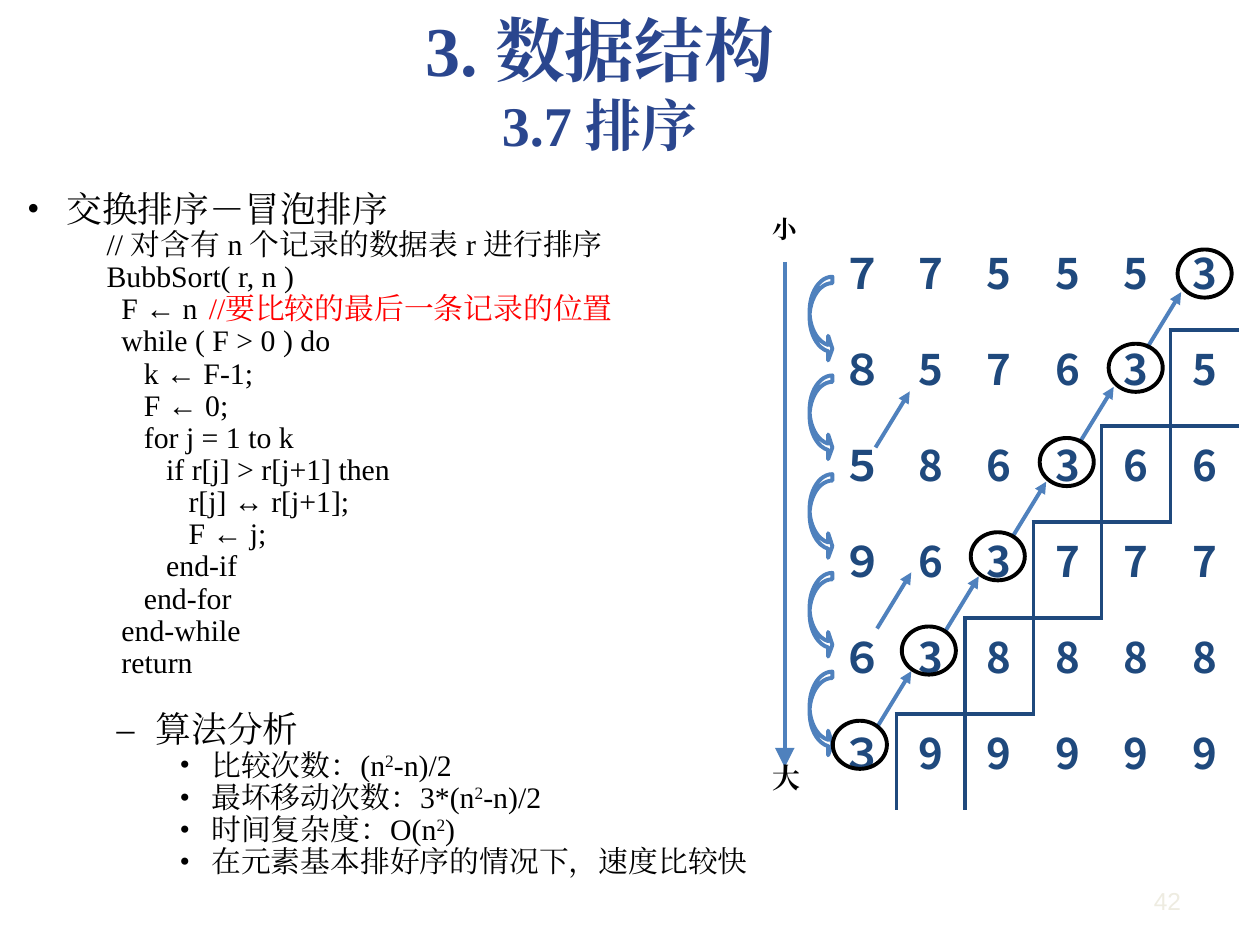
"""Build a bubble sort slide with pseudocode and a pass-by-pass table."""
from typing import NamedTuple

from lxml.etree import SubElement
from pptx import Presentation
from pptx.dml.color import RGBColor
from pptx.enum.shapes import MSO_CONNECTOR as Connector, MSO_SHAPE as Shape
from pptx.enum.text import MSO_ANCHOR as Anchor, PP_ALIGN as Align
from pptx.oxml.ns import qn
from pptx.util import Cm, Pt

NAVY = RGBColor(0x1F, 0x49, 0x7D)
TITLE_BLUE = RGBColor(0x2A, 0x46, 0x8E)
ARROW_BLUE = RGBColor(0x4F, 0x81, 0xBD)
BLACK = RGBColor(0, 0, 0)
RED = RGBColor(0xFF, 0, 0)
PALE = RGBColor(0xEE, 0xEC, 0xE1)
SERIF = "Times New Roman"
SANS = "Noto Sans CJK SC"
PLAIN_TABLE = "{2D5ABB26-0587-4C30-8999-92F81FD0307C}"
RULE = Pt(2.25)


class Level(NamedTuple):
    margin: float
    hanging: float
    size: float
    bullet: str = ""
    before: float = 0


class Label(NamedTuple):
    text: str
    left: float
    top: float
    width: float
    height: float
    size: float
    font: str = SERIF
    color: RGBColor = BLACK
    bold: bool = True


TOPIC = Level(0.79, 0.79, 20.4, "•")
CODE = Level(2.39, 0.79, 17)
ANALYSIS = Level(2.59, 0.79, 20.4, "–", 18.4)
FINDING = Level(3.71, 0.64, 17, "•")

PSEUDOCODE = """// 对含有 n 个记录的数据表 r 进行排序
BubbSort( r, n )
  F ← n\t|//要比较的最后一条记录的位置
  while ( F > 0 ) do
     k ← F-1;
     F ← 0;
     for j = 1 to k
        if r[j] > r[j+1] then
           r[j] ↔ r[j+1];
           F ← j;
        end-if
     end-for
  end-while
  return""".split("\n")
FINDINGS = ["比较次数：(n^2^-n)/2", "最坏移动次数：3*(n^2^-n)/2",
            "时间复杂度：O(n^2^)", "在元素基本排好序的情况下，速度比较快"]
PASSES = ["７75553", "８57635", "５86366", "９63777", "６38888", "３99999"]
LABELS = [Label("小", 15.32, 4.19, 1.02, 0.84, 14),
          Label("大", 15.32, 15.21, 1.07, 0.94, 16),
          Label("42", 22.9, 17.74, 1.27, 0.87, 14, "Arial", PALE, False)]


def style_run(run, size: float, color: RGBColor, font: str = SERIF, bold: bool = False) -> None:
    run.font.size, run.font.bold, run.font.name = Pt(size), bold, font
    run.font.color.rgb = color
    SubElement(run._r.get_or_add_rPr(), qn("a:ea")).set("typeface", font)


def add_outline_line(frame, text: str, level: Level) -> None:
    paragraph = frame.paragraphs[0] if level is TOPIC else frame.add_paragraph()
    paragraph.line_spacing = 0.9
    paragraph.space_before = Pt(level.before)
    properties = paragraph._p.get_or_add_pPr()
    properties.set("marL", str(Cm(level.margin)))
    properties.set("indent", str(-Cm(level.hanging)))
    if level.bullet:
        SubElement(properties, qn("a:buFont")).set("typeface", SERIF)
        SubElement(properties, qn("a:buChar")).set("char", level.bullet)
    else:
        SubElement(properties, qn("a:buNone"))
    separator = "^" if level is FINDING else "|"
    for position, part in enumerate(text.split(separator)):
        run = paragraph.add_run()
        run.text = part
        emphasised = position == 1
        style_run(run, level.size, RED if emphasised and level is CODE else BLACK)
        if emphasised and level is FINDING:
            run._r.get_or_add_rPr().set("baseline", "30000")


def add_label(slide, label: Label) -> None:
    box = slide.shapes.add_textbox(*map(Cm, label[1:5]))
    box.text_frame.word_wrap = False
    box.text_frame.text = label.text
    paragraph = box.text_frame.paragraphs[0]
    paragraph.alignment = Align.CENTER
    style_run(paragraph.runs[0], label.size, label.color, label.font, label.bold)


def add_arrow(slide, x: float, y: float, dx: float, dy: float, head: str = "med") -> None:
    arrow = slide.shapes.add_connector(Connector.STRAIGHT, Cm(x), Cm(y), Cm(x + dx), Cm(y + dy))
    arrow.line.color.rgb, arrow.line.width = ARROW_BLUE, RULE
    tail = SubElement(arrow.line._get_or_add_ln(), qn("a:tailEnd"))
    for key, value in (("type", "triangle"), ("w", head), ("len", head)):
        tail.set(key, value)
    SubElement(arrow._element.spPr, qn("a:effectLst"))


def add_outline_shape(slide, kind: Shape, x: float, y: float, width: float, height: float,
                      color: RGBColor):
    outline = slide.shapes.add_shape(kind, Cm(x), Cm(y), Cm(width), Cm(height))
    outline.shadow.inherit = False
    outline.fill.background()
    outline.line.color.rgb, outline.line.width = color, RULE
    return outline


def add_border(cell, side: str) -> None:
    border = SubElement(cell._tc.get_or_add_tcPr(), qn(f"a:{side}"), w=str(RULE))
    fill = SubElement(border, qn("a:solidFill"))
    SubElement(fill, qn("a:srgbClr")).set("val", str(NAVY))


def add_passes(slide) -> None:
    count = len(PASSES)
    table = slide.shapes.add_table(count, count, Cm(16.69), Cm(4.72), Cm(8.28), Cm(11.61)).table
    table.first_row = table.horz_banding = False
    table._tbl.tblPr.find(qn("a:tableStyleId")).text = PLAIN_TABLE
    for row, digits in enumerate(PASSES):
        for column, digit in enumerate(digits):
            cell = table.cell(row, column)
            cell.text = digit
            paragraph = cell.text_frame.paragraphs[0]
            paragraph.alignment = Align.CENTER
            style_run(paragraph.runs[0], 24, NAVY, SANS, True)
            if row + column == count:
                add_border(cell, "lnL")
                add_border(cell, "lnT")
            elif row + column == count - 1:
                if row:
                    add_border(cell, "lnR")
                if column:
                    add_border(cell, "lnB")
            cell.fill.background()


def main() -> None:
    deck = Presentation()
    deck.slide_width, deck.slide_height = Cm(25.4), Cm(19.05)
    slide = deck.slides.add_slide(deck.slide_layouts[5])

    title = slide.shapes.title
    title.left, title.top, title.width, title.height = Cm(1.3), Cm(0), Cm(21.59), Cm(3.33)
    title.text_frame.text = "3. 数据结构\v3.7 排序"
    title.text_frame.vertical_anchor = Anchor.MIDDLE
    heading = title.text_frame.paragraphs[0]
    heading.alignment = Align.CENTER
    for run, size in zip(heading.runs, (40, 32)):
        style_run(run, size, TITLE_BLUE, bold=True)

    outline = slide.shapes.add_textbox(Cm(0.3), Cm(3.73), Cm(15.57), Cm(15.52)).text_frame
    outline.word_wrap = True
    add_outline_line(outline, "交换排序－冒泡排序", TOPIC)
    for statement in PSEUDOCODE:
        add_outline_line(outline, statement, CODE)
    add_outline_line(outline, "算法分析", ANALYSIS)
    for finding in FINDINGS:
        add_outline_line(outline, finding, FINDING)

    add_passes(slide)
    add_arrow(slide, 15.82, 5.28, 0, 10.19, "lg")
    for x, y in [(17.65, 9.02), (17.68, 12.67)]:
        add_arrow(slide, x, y, 0.69, -1.13)
    for step in range(5):
        add_arrow(slide, 17.68 + 1.36 * step, 14.66 - 1.91 * step, 0.69, -1.13)
        swap = add_outline_shape(slide, Shape.CURVED_UP_ARROW, 15.7, 6.2 + 1.99 * step,
                                 1.7, 0.46, ARROW_BLUE)
        swap.rotation = 90
        for index, amount in enumerate((0.28, 1.08, 0.187)):
            swap.adjustments[index] = amount
    for step in range(6):
        add_outline_shape(slide, Shape.OVAL, 16.79 + 1.39 * step, 14.53 - 1.9 * step,
                          1.09, 0.97, BLACK)
    for label in LABELS:
        add_label(slide, label)
    deck.save("out.pptx")


if __name__ == "__main__":
    main()
